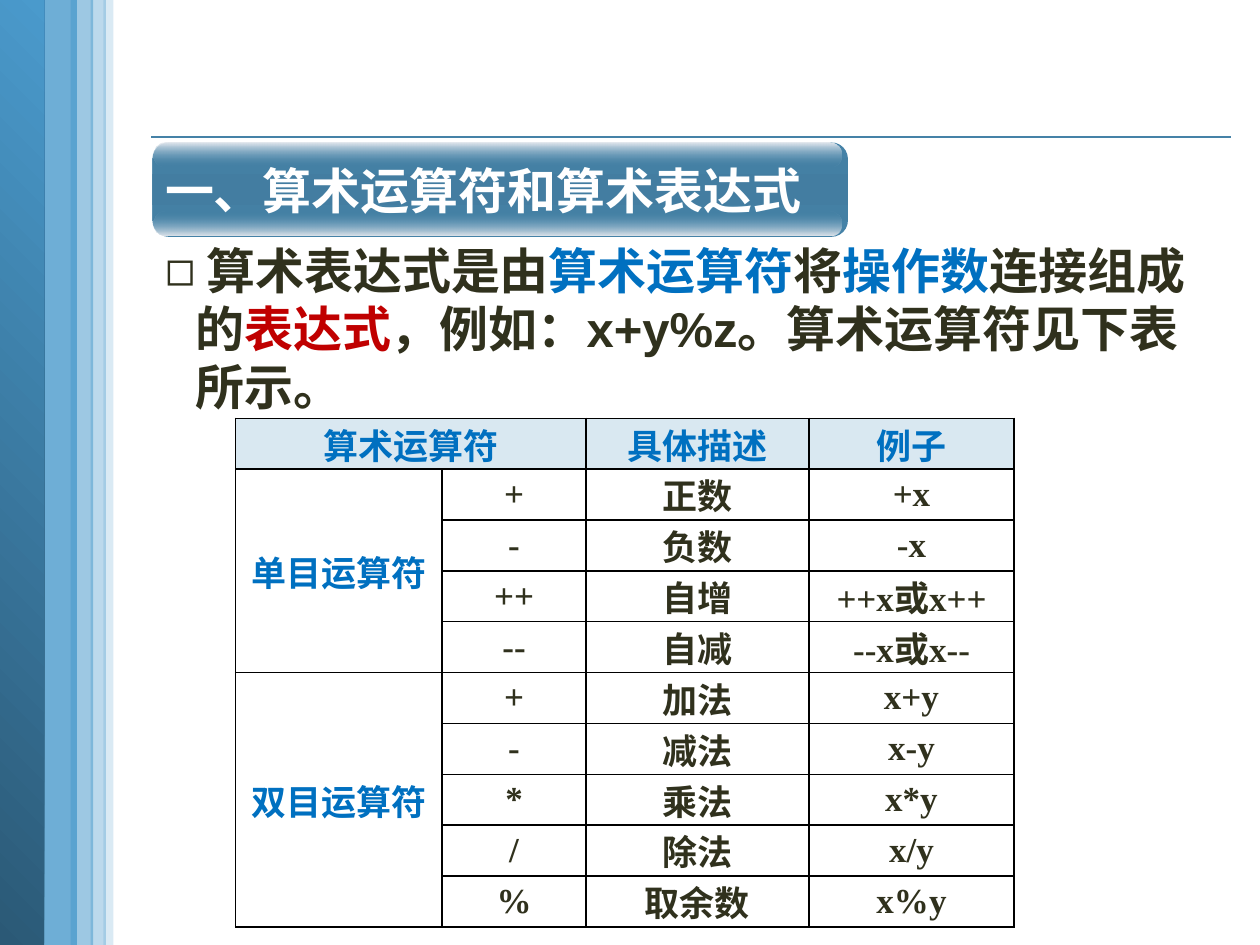
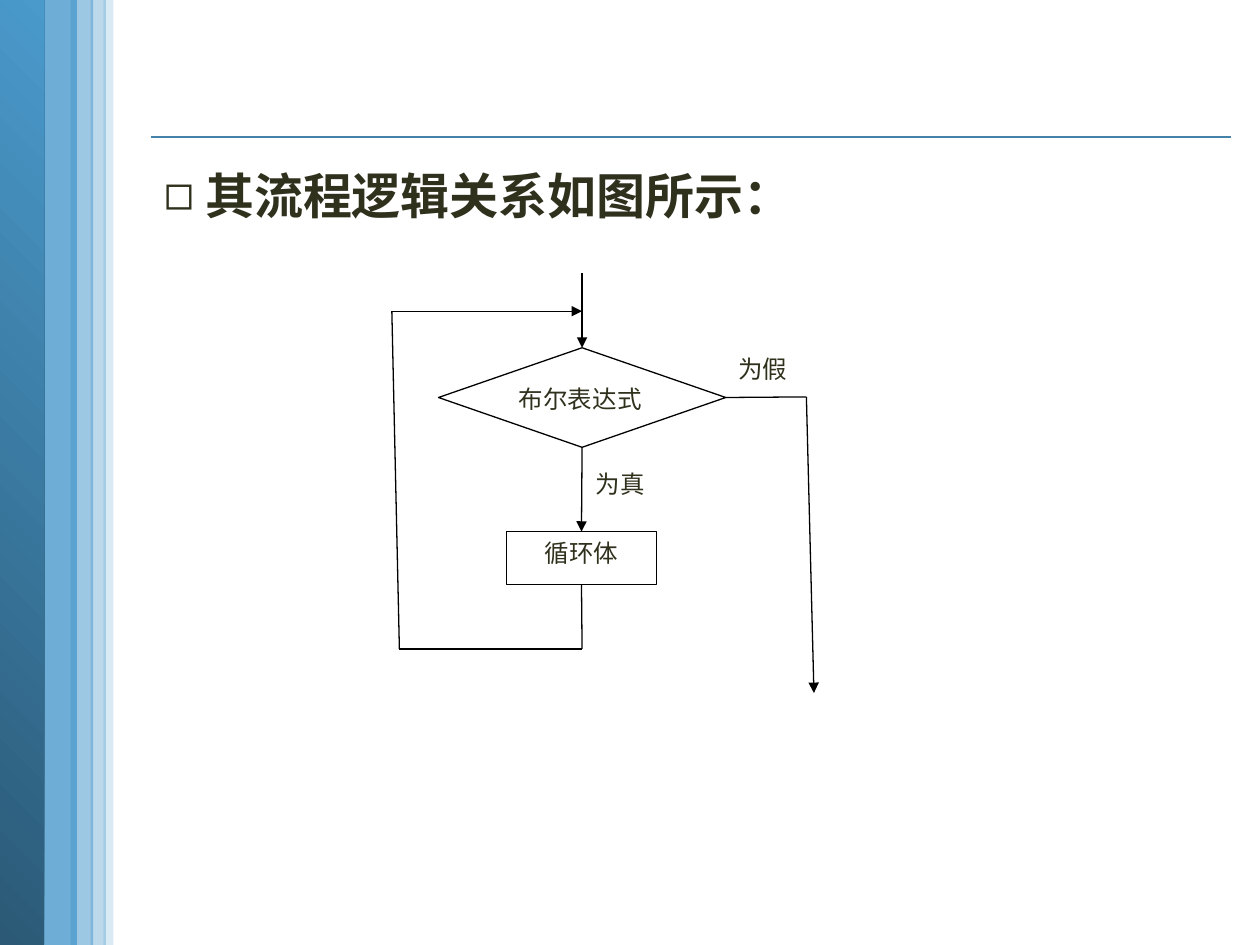
from lxml import etree
from pptx import Presentation
from pptx.dml.color import RGBColor
from pptx.enum.shapes import MSO_CONNECTOR, MSO_SHAPE
from pptx.enum.text import MSO_ANCHOR as ANCHOR, MSO_AUTO_SIZE, PP_ALIGN as ALIGN
from pptx.oxml import parse_xml
from pptx.oxml.ns import nsdecls, qn
from pptx.util import Inches, Pt

BLACK = RGBColor(0x00, 0x00, 0x00)
WHITE = RGBColor(0xFF, 0xFF, 0xFF)
INK = RGBColor(0x30, 0x31, 0x1D)
KEY_BLUE = RGBColor(0x00, 0x70, 0xC0)
KEY_RED = RGBColor(0xC0, 0x00, 0x00)
SKY = RGBColor(0x4A, 0x9A, 0xCC)
NAVY = RGBColor(0x2B, 0x59, 0x76)
STEEL = RGBColor(0x45, 0x82, 0xA7)
STEEL_MID = RGBColor(0x43, 0x7D, 0xA1)
GLOSS_TOP = RGBColor(0xEA, 0xED, 0xF1)
GLOSS_BOTTOM = RGBColor(0xE2, 0xE7, 0xED)
HEADER_FILL = RGBColor(0xD9, 0xE8, 0xF1)

SANS, SERIF = "Arial", "Times New Roman"

# left, width, opacity in percent
BANDS = [(0.3, 0.31, 80), (0.82, 0.08, 20), (0.56, 0.18, 54), (0.72, 0.12, 37)]

HEADERS = ["算术运算符", "", "具体描述", "例子"]
OPERATORS = {
    "单目运算符": [("+", "正数", "+x"), ("-", "负数", "-x"),
              ("++", "自增", "++x或x++"), ("--", "自减", "--x或x--")],
    "双目运算符": [("+", "加法", "x+y"), ("-", "减法", "x-y"), ("*", "乘法", "x*y"),
              ("/", "除法", "x/y"), ("%", "取余数", "x%y")],
}
COLUMN_WIDTHS = [1.64, 1.14, 1.77, 1.63]
ROW_HEIGHT = 0.4


def add_run(p, text, size=28, color=INK, bold=True, font=SANS):
    r = p.add_run()
    r.text = text
    r.font.size, r.font.bold, r.font.name = Pt(size), bold, font
    r.font.color.rgb = color


def place(sp, left, top, width, height):
    sp.left, sp.top = Inches(left), Inches(top)
    sp.width, sp.height = Inches(width), Inches(height)


def add_box(slide, kind, left, top, width, height, fill=None, line=None):
    sp = slide.shapes.add_shape(kind, Inches(left), Inches(top),
                                Inches(width), Inches(height))
    sp.shadow.inherit = False
    if fill is not None:
        sp.fill.solid()
        sp.fill.fore_color.rgb = fill
    if line is None:
        sp.line.fill.background()
    else:
        sp.line.color.rgb = line
        sp.line.width = Pt(0.75)
    return sp


def set_alpha(sp, percent):
    color = sp._element.spPr.find(qn("a:solidFill"))[0]
    etree.SubElement(color, qn("a:alpha"), val=str(percent * 1000))


def set_gradient(sp, stops, angle):
    """Fill with (position, colour, opacity) stops; the angle runs clockwise."""
    gs = "".join(
        f'<a:gs pos="{pos * 1000}"><a:srgbClr val="{color}">'
        f'<a:alpha val="{alpha * 1000}"/></a:srgbClr></a:gs>'
        for pos, color, alpha in stops)
    sp._element.spPr.find(qn("a:prstGeom")).addnext(parse_xml(
        f'<a:gradFill {nsdecls("a")} rotWithShape="1"><a:gsLst>{gs}</a:gsLst>'
        f'<a:lin ang="{angle * 60000}" scaled="0"/></a:gradFill>'))


def add_line(slide, start, end, color=BLACK, width=0.75, arrow=False):
    """Join two ends, each an (x, y) point or a (shape, side) pair."""
    points = [(0, 0) if hasattr(e[0], "shape_id") else e for e in (start, end)]
    line = slide.shapes.add_connector(
        MSO_CONNECTOR.STRAIGHT, *[Inches(v) for point in points for v in point])
    for e, connect in ((start, line.begin_connect), (end, line.end_connect)):
        if hasattr(e[0], "shape_id"):
            connect(*e)
    line.line.color.rgb = color
    line.line.width = Pt(width)
    if arrow:
        etree.SubElement(line.line._get_or_add_ln(), qn("a:tailEnd"), type="triangle")
    etree.SubElement(line._element.spPr, qn("a:effectLst"))


def add_slide(prs):
    slide = prs.slides.add_slide(prs.slide_layouts[1])
    add_line(slide, (1.2, 1.09), (9.77, 1.09), color=STEEL, width=1)
    for i, (left, width, opacity) in enumerate(BANDS):
        set_alpha(add_box(slide, MSO_SHAPE.RECTANGLE, left, 0, width, 7.5, SKY), opacity)
        if i == 0:
            edge = add_box(slide, MSO_SHAPE.RECTANGLE, 0, 0, 0.35, 7.5)
            set_gradient(edge, [(0, NAVY, 100), (100, SKY, 100)], 315)
    return slide


def fill_body(slide, left, top, width, height, runs):
    """Write one bulleted paragraph of (text, colour) runs."""
    body = slide.placeholders[1]
    place(body, left, top, width, height)
    tf = body.text_frame
    tf.auto_size = MSO_AUTO_SIZE.NONE
    tf.margin_top = Inches(0.1)
    p = tf.paragraphs[0]
    pPr = p._p.get_or_add_pPr()
    pPr.set("marL", str(Inches(0.24)))
    pPr.set("indent", str(-Inches(0.24)))
    etree.SubElement(pPr, qn("a:buChar"), char="◻")
    p.line_spacing, p.space_before = Pt(33), Pt(0)
    for text, color in runs:
        add_run(p, text, color=color)


def add_banner_title(slide, text):
    left, top, width, height = 1.21, 1.13, 5.52, 0.75
    layers = [
        (left, top, width, height, 0.175,
         [(0, STEEL, 100), (50, STEEL_MID, 100), (100, STEEL, 100)]),
        (1.22, 1.68, 5.46, 0.19, 0.5, [(0, STEEL, 0), (100, GLOSS_BOTTOM, 100)]),
        (1.22, top, 5.46, 0.19, 0.5, [(0, GLOSS_TOP, 100), (100, STEEL, 0)]),
    ]
    for *area, rounding, stops in layers:
        sp = add_box(slide, MSO_SHAPE.ROUNDED_RECTANGLE, *area)
        sp.adjustments[0] = rounding
        set_gradient(sp, stops, 90)
    title = slide.shapes.title
    place(title, left, top, width, height)
    title.element.getparent().append(title.element)  # bring to front
    tf = title.text_frame
    tf.auto_size, tf.word_wrap = MSO_AUTO_SIZE.NONE, False
    tf.vertical_anchor = ANCHOR.MIDDLE
    p = tf.paragraphs[0]
    p.alignment = ALIGN.LEFT
    add_run(p, text, color=WHITE)


def set_borders(cell):
    tcPr = cell._tc.get_or_add_tcPr()
    for i, side in enumerate(("lnL", "lnR", "lnT", "lnB")):
        tcPr.insert(i, parse_xml(
            f'<a:{side} {nsdecls("a")} w="12700"><a:solidFill>'
            f'<a:srgbClr val="{BLACK}"/></a:solidFill></a:{side}>'))


def format_cell(cell, text, color=INK, fill=None):
    cell.margin_left = cell.margin_right = Inches(0.07)
    cell.margin_top = cell.margin_bottom = 0
    cell.vertical_anchor = ANCHOR.MIDDLE
    if fill is None:
        cell.fill.background()
    else:
        cell.fill.solid()
        cell.fill.fore_color.rgb = fill
    set_borders(cell)
    p = cell.text_frame.paragraphs[0]
    p.alignment = ALIGN.CENTER
    if text:
        add_run(p, text, size=20, color=color, font=SERIF)


def add_operator_table(slide, left, top):
    row_count = 1 + sum(len(rows) for rows in OPERATORS.values())
    table = slide.shapes.add_table(
        row_count, len(COLUMN_WIDTHS), Inches(left), Inches(top),
        Inches(sum(COLUMN_WIDTHS)), Inches(ROW_HEIGHT * row_count)).table
    table.first_row = table.horz_banding = False
    for column, width in zip(table.columns, COLUMN_WIDTHS):
        column.width = Inches(width)
    for row in table.rows:
        row.height = Inches(ROW_HEIGHT)

    for c, text in enumerate(HEADERS):
        format_cell(table.cell(0, c), text, KEY_BLUE, HEADER_FILL)
    table.cell(0, 0).merge(table.cell(0, 1))
    first = 1
    for group, rows in OPERATORS.items():
        for i, values in enumerate(rows):
            format_cell(table.cell(first + i, 0), "" if i else group, KEY_BLUE)
            for c, text in enumerate(values, 1):
                format_cell(table.cell(first + i, c), text)
        last = first + len(rows) - 1
        table.cell(first, 0).merge(table.cell(last, 0))
        first = last + 1


def add_flow_box(slide, text, left, top, width, height, line=None, align=ALIGN.LEFT):
    sp = add_box(slide, MSO_SHAPE.RECTANGLE, left, top, width, height, WHITE, line)
    tf = sp.text_frame
    tf.word_wrap = True
    tf.vertical_anchor = ANCHOR.TOP
    p = tf.paragraphs[0]
    p.alignment = align
    add_run(p, text, size=14, bold=False, font=SERIF)
    return sp


def add_loop_flowchart(slide):
    axis = 4.62
    test = add_box(slide, MSO_SHAPE.FLOWCHART_DECISION, 3.48, 2.76, 2.28, 0.79,
                   WHITE, BLACK)
    add_flow_box(slide, "布尔表达式", 4.02, 3, 1.19, 0.32)
    add_flow_box(slide, "为真", 4.63, 3.67, 0.7, 0.32)
    add_flow_box(slide, "为假", 5.76, 2.76, 0.7, 0.32)
    loop_body = add_flow_box(slide, "循环体", 4.02, 4.22, 1.19, 0.42, BLACK, ALIGN.CENTER)

    add_line(slide, (axis, 2.17), (test, 0), arrow=True)
    add_line(slide, (test, 2), (loop_body, 0), arrow=True)
    # way back to the test
    add_line(slide, (loop_body, 2), (axis, 5.15))
    add_line(slide, (axis, 5.15), (3.17, 5.15))
    add_line(slide, (3.17, 5.15), (3.11, 2.47))
    add_line(slide, (3.11, 2.47), (axis, 2.47), arrow=True)
    # way out
    add_line(slide, (test, 3), (6.4, 3.15))
    add_line(slide, (6.4, 3.15), (6.46, 5.5), arrow=True)


def main():
    prs = Presentation()
    prs.slide_width, prs.slide_height = Inches(10), Inches(7.5)

    slide = add_slide(prs)
    add_banner_title(slide, "一、算术运算符和算术表达式")
    fill_body(slide, 1.21, 1.82, 8.46, 1.51, [
        (" 算术表达式是由", INK), ("算术运算符", KEY_BLUE), ("将", INK),
        ("操作数", KEY_BLUE), ("连接组成的", INK), ("表达式", KEY_RED),
        ("，例如：x+y%z。算术运算符见下表所示。", INK)])
    add_operator_table(slide, 1.87, 3.32)

    slide = add_slide(prs)
    title = slide.shapes.title.element
    title.getparent().remove(title)
    fill_body(slide, 1.2, 1.22, 8.28, 0.57, [(" 其流程逻辑关系如图所示：", INK)])
    add_loop_flowchart(slide)

    prs.save("out.pptx")


if __name__ == "__main__":
    main()
